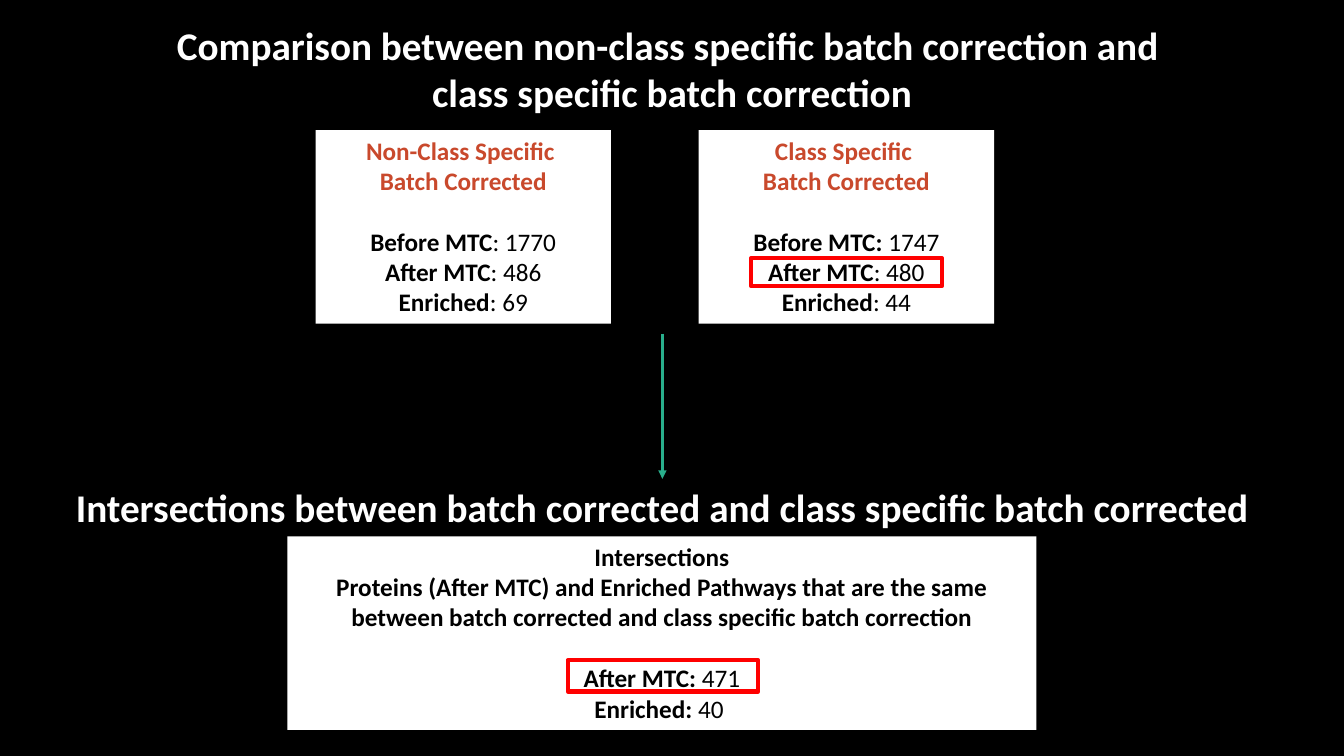
from lxml import etree
from pptx import Presentation
from pptx.dml.color import RGBColor
from pptx.enum import shapes, text
from pptx.oxml import ns
from pptx.util import Inches, Pt

# A paragraph is a list of (wording, bold) spans.
HEADINGS = [
    ((-0.37, 0.16, 14.07, 1.04), [
        [("Comparison between non-class specific batch correction and ", True)],
        [("class specific batch correction", True)],
    ]),
    ((-0.47, 4.75, 14.07, 0.57), [
        [("Intersections between batch corrected and class specific batch corrected", True)],
    ]),
]
# Place, title colour, title paragraphs, result paragraphs
PANELS = [
    ((3.13, 1.29, 2.93, 1.92), "accent",
     [[("Non-Class Specific ", True)], [("Batch Corrected", True)]],
     [[("Before MTC", True), (": 1770", False)],
      [("After MTC", True), (": 486", False)],
      [("Enriched", True), (": 69", False)]]),
    ((6.93, 1.29, 2.93, 1.92), "accent",
     [[("Class Specific ", True)], [("Batch Corrected", True)]],
     [[("Before MTC: ", True), ("1747", False)],
      [("After MTC", True), (": 480", False)],
      [("Enriched", True), (": 44", False)]]),
    ((2.85, 5.32, 7.43, 1.92), "dark",
     [[("Intersections", True)],
      [("Proteins (After MTC) and Enriched Pathways that are the same "
        "between batch corrected and class specific batch correction", True)]],
     [[("After MTC: ", True), ("471", False)],
      [("Enriched: ", True), ("40 ", False)]]),
]
HIGHLIGHTS = [(7.45, 2.56, 1.89, 0.28), (5.63, 6.55, 1.89, 0.31)]
ARROW = (6.57, 3.31, 6.57, 4.75)

THEME = {
    "font": "Calibri", "heading": 28, "body": 18, "result gap": 22,
    "dark": "000000", "light": "FFFFFF", "accent": "C9492C",
    "highlight": "FF0000", "arrow": "29AF8C",
    "highlight width": 3, "arrow width": 2,
}


def color(name):
    return RGBColor.from_string(THEME[name])


def inches(values):
    return [Inches(value) for value in values]


def write(frame, lines, size):
    """Fill a frame with (spans, colour name, space before) lines."""
    settings = {"word_wrap": True, "vertical_anchor": text.MSO_ANCHOR.TOP,
                "auto_size": text.MSO_AUTO_SIZE.SHAPE_TO_FIT_TEXT}
    for name, value in settings.items():
        setattr(frame, name, value)
    for index, (spans, ink, gap) in enumerate(lines):
        para = frame.add_paragraph() if index else frame.paragraphs[0]
        para.alignment = text.PP_ALIGN.CENTER
        para.space_before = Pt(gap)
        for wording, bold in spans:
            span = para.add_run()
            span.text = wording
            span.font.color.rgb = color(ink)
            font = {"name": THEME["font"], "size": Pt(THEME[size]), "bold": bold}
            for name, value in font.items():
                setattr(span.font, name, value)


def add_rectangle(page, place):
    box = page.shapes.add_shape(shapes.MSO_SHAPE.RECTANGLE, *inches(place))
    box.shadow.inherit = False
    return box


def add_panel(page, place, title_ink, title, results):
    box = add_rectangle(page, place)
    box.fill.solid()
    box.fill.fore_color.rgb = color("light")
    box.line.fill.background()
    lines = [(spans, title_ink, 0) for spans in title]
    lines += [(spans, "dark", 0 if index else THEME["result gap"])
              for index, spans in enumerate(results)]
    write(box.text_frame, lines, "body")


def add_heading(page, place, paragraphs):
    box = page.shapes.add_textbox(*inches(place))
    write(box.text_frame, [(spans, "light", 0) for spans in paragraphs], "heading")


def add_highlight(page, place):
    box = add_rectangle(page, place)
    box.fill.background()
    box.line.color.rgb = color("highlight")
    box.line.width = Pt(THEME["highlight width"])


def add_arrow(page, ends):
    arrow = page.shapes.add_connector(shapes.MSO_CONNECTOR.STRAIGHT, *inches(ends))
    arrow.line.color.rgb = color("arrow")
    arrow.line.width = Pt(THEME["arrow width"])
    properties = arrow.element.spPr
    outline = properties.find(ns.qn("a:ln"))
    etree.SubElement(outline, ns.qn("a:tailEnd"), type="triangle")
    etree.SubElement(properties, ns.qn("a:effectLst"))


def main():
    deck = Presentation()
    deck.slide_width, deck.slide_height = Inches(13.33), Inches(7.5)
    page = deck.slides.add_slide(deck.slide_layouts[6])
    page.background.fill.solid()
    page.background.fill.fore_color.rgb = color("dark")
    for panel in PANELS:
        add_panel(page, *panel)
    for heading in HEADINGS:
        add_heading(page, *heading)
    add_arrow(page, ARROW)
    for place in HIGHLIGHTS:
        add_highlight(page, place)
    deck.save("out.pptx")


if __name__ == "__main__":
    main()
